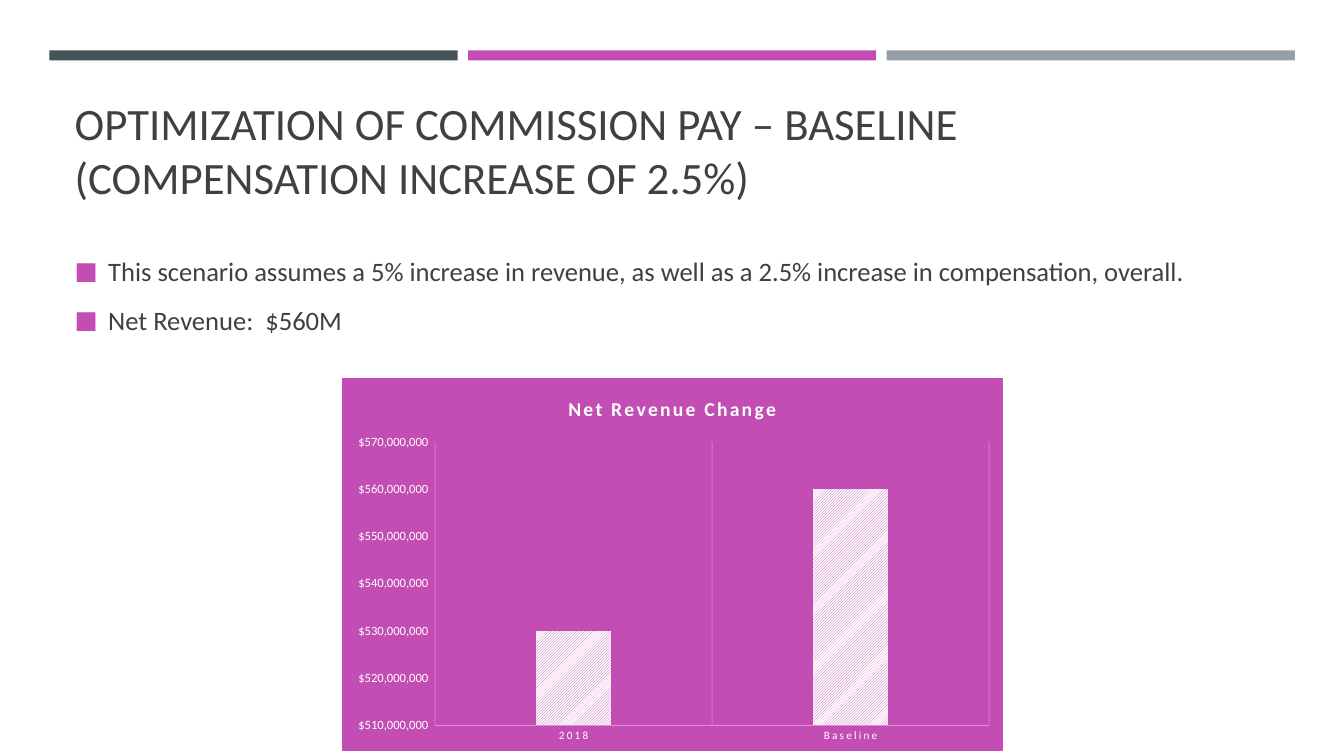
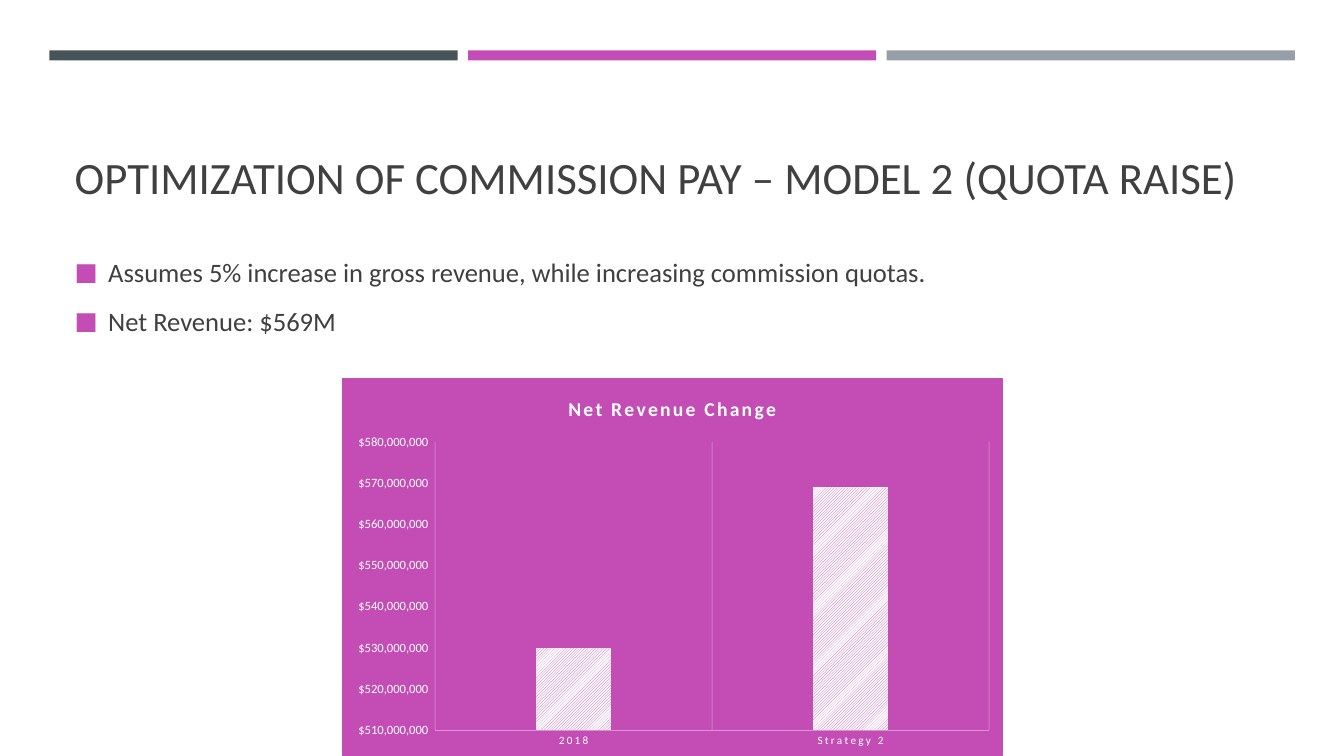
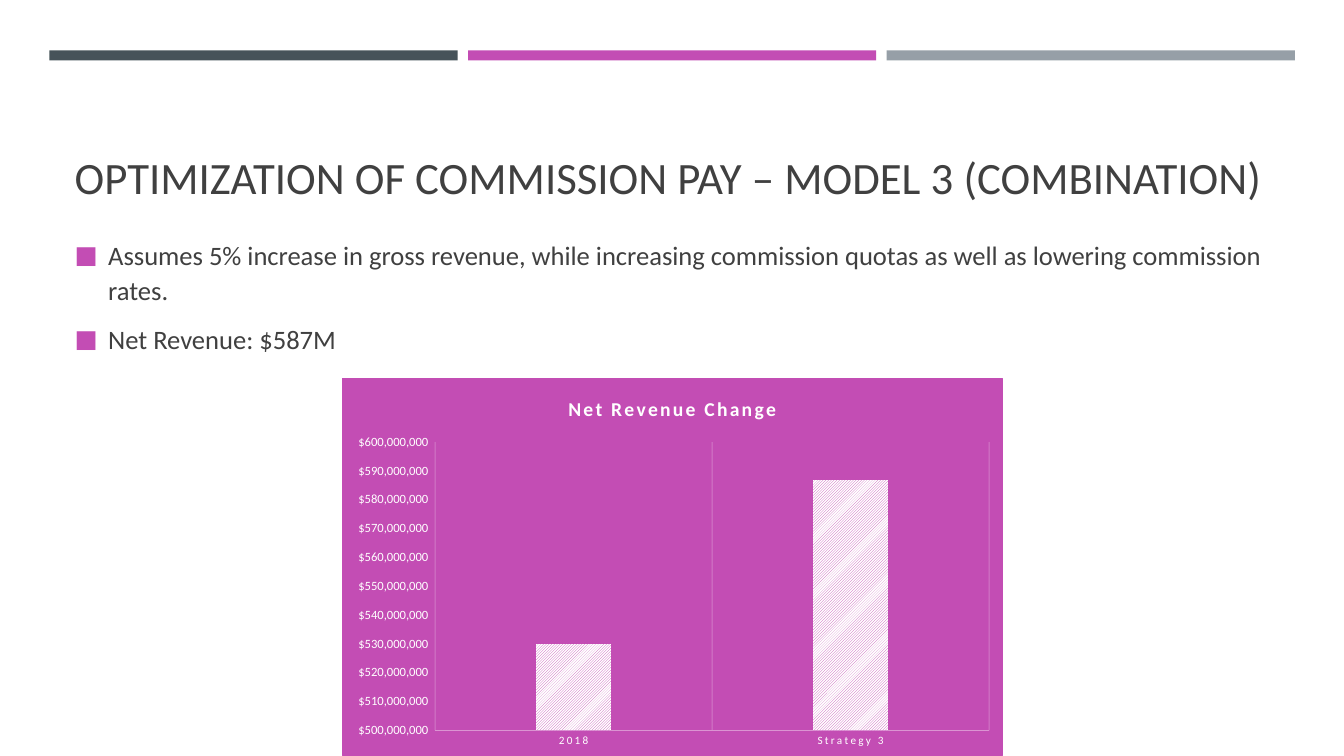
from lxml import etree
from pptx import Presentation
from pptx.chart import data
from pptx.dml.color import RGBColor
from pptx.enum import chart as ch, dml, shapes, text
from pptx.oxml import ns
from pptx.util import Pt

# Content
CHART_TITLE = "Net Revenue Change"
FIRST_YEAR = ("2018", 530_000_000)
MODELS = [
    {"title": "OPTIMIZATION OF COMMISSION PAY – BASELINE (COMPENSATION INCREASE OF 2.5%)",
     "points": ["This scenario assumes a 5% increase in revenue, as well as a 2.5% "
                "increase in compensation, overall.",
                "Net Revenue:  $560M"],
     "result": ("Baseline", 560_000_000),
     "scale": (510_000_000, 570_000_000), "body_top": 173.5, "chart_height": 266.4},
    {"title": "OPTIMIZATION OF COMMISSION PAY – MODEL 2 (QUOTA RAISE)",
     "points": ["Assumes 5% increase in gross revenue, while increasing commission quotas.",
                "Net Revenue: $569M"],
     "result": ("Strategy 2", 569_000_000),
     "scale": (510_000_000, 580_000_000), "body_top": 174.5, "chart_height": 270},
    {"title": "OPTIMIZATION OF COMMISSION PAY – MODEL 3 (COMBINATION)",
     "points": ["Assumes 5% increase in gross revenue, while increasing commission quotas "
                "as well as lowering commission rates.",
                "Net Revenue: $587M"],
     "result": ("Strategy 3", 587_000_000),
     "scale": (500_000_000, 600_000_000), "body_top": 174.5, "chart_height": 270},
]

# Shared style
COLORS = {"slate": "465359", "magenta": "C34DB4", "gray": "969FA7",
          "ink": "404040", "white": "FFFFFF", "axis": "DB94D2"}
FONT = "Calibri"
BANDS = ["slate", "magenta", "gray"]
BAND_LEFT, BAND_TOP, BAND_WIDTH, BAND_HEIGHT, BAND_GAP = 35.3, 36, 291.6, 7.2, 7.4
TEXT_LEFT, TEXT_WIDTH = 46.1, 868.3
MONEY = '_("$"* #,##0_);_("$"* \\(#,##0\\);_("$"* "-"??_);_(@_)'


def rgb(name):
    return RGBColor.from_string(COLORS[name])


def style_font(font, size, color, bold=False):
    font.name, font.size, font.bold = FONT, Pt(size), bold
    font.color.rgb = rgb(color)


def sub(parent, tag, **attributes):
    return etree.SubElement(parent, ns.qn(tag), attributes)


def place(shape, left, top, width, height):
    shape.left, shape.top, shape.width, shape.height = map(Pt, (left, top, width, height))


def add_bands(slide):
    for i, color in enumerate(BANDS):
        band = slide.shapes.add_shape(
            shapes.MSO_SHAPE.RECTANGLE, Pt(BAND_LEFT + i * (BAND_WIDTH + BAND_GAP)),
            Pt(BAND_TOP), Pt(BAND_WIDTH), Pt(BAND_HEIGHT))
        band.shadow.inherit = False
        band.fill.solid()
        band.fill.fore_color.rgb = rgb(color)
        band.line.fill.background()


def fill_placeholder(shape, lines, top, height, size, anchor):
    place(shape, TEXT_LEFT, top, TEXT_WIDTH, height)
    frame = shape.text_frame
    frame.text = "\n".join(lines)
    frame.word_wrap = True
    frame.auto_size = text.MSO_AUTO_SIZE.NONE
    frame.vertical_anchor = anchor
    for paragraph in frame.paragraphs:
        paragraph.alignment = text.PP_ALIGN.LEFT
        for run in paragraph.runs:
            style_font(run.font, size, "ink")
    return frame.paragraphs


def add_bullets(paragraphs):
    for i, paragraph in enumerate(paragraphs):
        props = paragraph._p.get_or_add_pPr()
        props.set("marL", str(Pt(24)))
        props.set("indent", str(-Pt(24)))
        sub(sub(props, "a:buClr"), "a:srgbClr", val=COLORS["magenta"])
        sub(props, "a:buSzPct", val="92000")
        sub(props, "a:buFont", typeface=FONT)
        sub(props, "a:buChar", char="■")
        paragraph.line_spacing = 1.1
        paragraph.space_before = Pt(3.8 if i else 0)
        paragraph.space_after = Pt(6)


def fill_chart_area(chart):
    area = etree.Element(ns.qn("c:spPr"))
    sub(sub(area, "a:solidFill"), "a:srgbClr", val=COLORS["magenta"])
    border = sub(area, "a:ln", w=str(Pt(0.75)))
    sub(sub(border, "a:solidFill"), "a:srgbClr", val=COLORS["magenta"])
    chart.element.find(ns.qn("c:chart")).addnext(area)


def add_revenue_chart(slide, result, scale, height):
    revenue = data.CategoryChartData(number_format=MONEY)
    names, values = zip(FIRST_YEAR, result)
    revenue.categories = names
    revenue.add_series("Series 1", values)
    chart = slide.shapes.add_chart(
        ch.XL_CHART_TYPE.COLUMN_CLUSTERED, Pt(244.1), Pt(270), Pt(472.3), Pt(height),
        revenue).chart
    chart.has_legend = False
    chart.font.name, chart.font.size = FONT, Pt(10)
    fill_chart_area(chart)

    # Chart title
    chart.has_title = True
    chart.chart_title.include_in_layout = False
    heading = chart.chart_title.text_frame
    heading.text = CHART_TITLE
    heading_font = heading.paragraphs[0].runs[0].font
    style_font(heading_font, 14, "white", bold=True)
    heading_font._rPr.set("spc", "150")

    # Columns
    plot = chart.plots[0]
    plot.gap_width, plot.overlap, plot.vary_by_categories = 269, -20, False
    columns = plot.series[0].format.fill
    columns.patterned()
    columns.pattern = dml.MSO_PATTERN.LIGHT_UPWARD_DIAGONAL
    columns.fore_color.rgb = rgb("magenta")
    columns.back_color.rgb = rgb("white")

    # Axes
    years, money = chart.category_axis, chart.value_axis
    for axis, size in ((years, 8), (money, 9)):
        axis.major_tick_mark = axis.minor_tick_mark = ch.XL_TICK_MARK.NONE
        style_font(axis.tick_labels.font, size, "white")
    years.tick_labels.font._rPr.set("spc", "150")
    years.format.line.color.rgb = rgb("axis")
    years.format.line.width = Pt(0.25)
    years.has_major_gridlines = True
    grid = years.major_gridlines.format.line
    grid.color.rgb = rgb("white")
    grid.width = Pt(0.75)
    grid_color = years.major_gridlines._xAx.find(
        ns.qn("c:majorGridlines")).find(".//" + ns.qn("a:srgbClr"))
    sub(grid_color, "a:alpha", val="25000")
    money.has_major_gridlines = False
    money.format.line.fill.background()
    money.minimum_scale, money.maximum_scale = scale
    money.major_unit = 10_000_000
    money.tick_labels.number_format = MONEY
    money.tick_labels.number_format_is_linked = False


def main():
    deck = Presentation()
    deck.slide_width, deck.slide_height = Pt(960), Pt(540)
    for model in MODELS:
        slide = deck.slides.add_slide(deck.slide_layouts[1])
        add_bands(slide)
        fill_placeholder(slide.shapes.title, [model["title"]], 55.4, 93.6, 32,
                         text.MSO_ANCHOR.BOTTOM)
        add_bullets(fill_placeholder(slide.placeholders[1], model["points"],
                                     model["body_top"], 72.7, 19, text.MSO_ANCHOR.MIDDLE))
        add_revenue_chart(slide, model["result"], model["scale"], model["chart_height"])
    deck.save("out.pptx")


if __name__ == "__main__":
    main()
